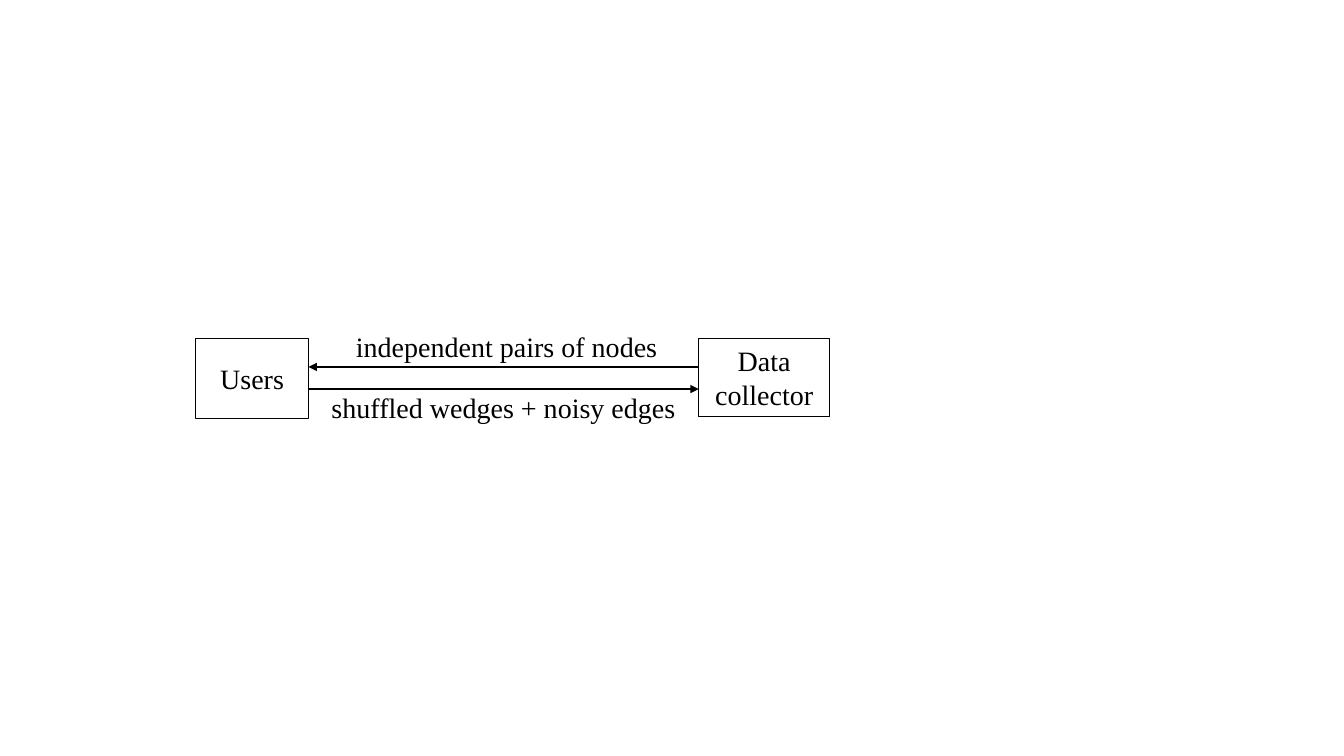
from lxml.etree import SubElement
from pptx import Presentation
from pptx.dml.color import RGBColor
from pptx.enum.shapes import MSO_CONNECTOR, MSO_SHAPE
from pptx.enum.text import MSO_ANCHOR, PP_ALIGN
from pptx.oxml.ns import qn
from pptx.util import Inches, Pt

# Content: boxes as (text, left, width, height), messages as
# (text, sender, receiver, arrow height, label left, label top, label width), in inches
BOXES = [
    ("Users", 1.94, 1.12, 0.79),
    ("Data collector", 6.93, 1.3, 0.77),
]
MESSAGES = [
    ("independent pairs of nodes", "Data collector", "Users", 3.64, 3.35, 3.22, 3.35),
    ("shuffled wedges + noisy edges", "Users", "Data collector", 3.86, 3.06, 3.82, 3.87),
]
BOX_TOP = 3.36
LABEL_HEIGHT = 0.44
COLORS = {"ink": "000000", "paper": "FFFFFF"}
FONT, TEXT_SIZE = "Times New Roman", 20


def color(name):
    return RGBColor.from_string(COLORS[name])


def write(shape, text):
    text_frame = shape.text_frame
    text_frame.text = text
    text_frame.word_wrap = True
    paragraph = text_frame.paragraphs[0]
    paragraph.alignment = PP_ALIGN.CENTER
    font = paragraph.runs[0].font
    font.name, font.size = FONT, Pt(TEXT_SIZE)
    font.color.rgb = color("ink")


def add_box(slide, text, left, width, height):
    box = slide.shapes.add_shape(
        MSO_SHAPE.RECTANGLE, Inches(left), Inches(BOX_TOP), Inches(width), Inches(height))
    box.shadow.inherit = False
    box.fill.solid()
    box.fill.fore_color.rgb = color("paper")
    box.line.color.rgb = color("ink")
    box.line.width = Pt(0.75)
    write(box, text)
    box.text_frame.vertical_anchor = MSO_ANCHOR.MIDDLE


def add_arrow(slide, start, end, height):
    arrow = slide.shapes.add_connector(
        MSO_CONNECTOR.STRAIGHT, Inches(start), Inches(height), Inches(end), Inches(height))
    arrow.line.color.rgb = color("ink")
    arrow.line.width = Pt(1)
    SubElement(arrow.line._get_or_add_ln(), qn("a:tailEnd"), type="triangle")
    SubElement(arrow._element.spPr, qn("a:effectLst"))


def main():
    presentation = Presentation()
    presentation.slide_width, presentation.slide_height = Inches(13.33), Inches(7.5)
    slide = presentation.slides.add_slide(presentation.slide_layouts[6])

    # The two parties
    for box in BOXES:
        add_box(slide, *box)

    # Messages run between the facing edges of the boxes
    (users, users_left, users_width, _), (collector, collector_left, _, _) = BOXES
    facing_edge = {users: users_left + users_width, collector: collector_left}
    for text, sender, receiver, height, left, top, width in MESSAGES:
        add_arrow(slide, facing_edge[sender], facing_edge[receiver], height)
        label = slide.shapes.add_textbox(
            Inches(left), Inches(top), Inches(width), Inches(LABEL_HEIGHT))
        write(label, text)

    presentation.save("out.pptx")


if __name__ == "__main__":
    main()
